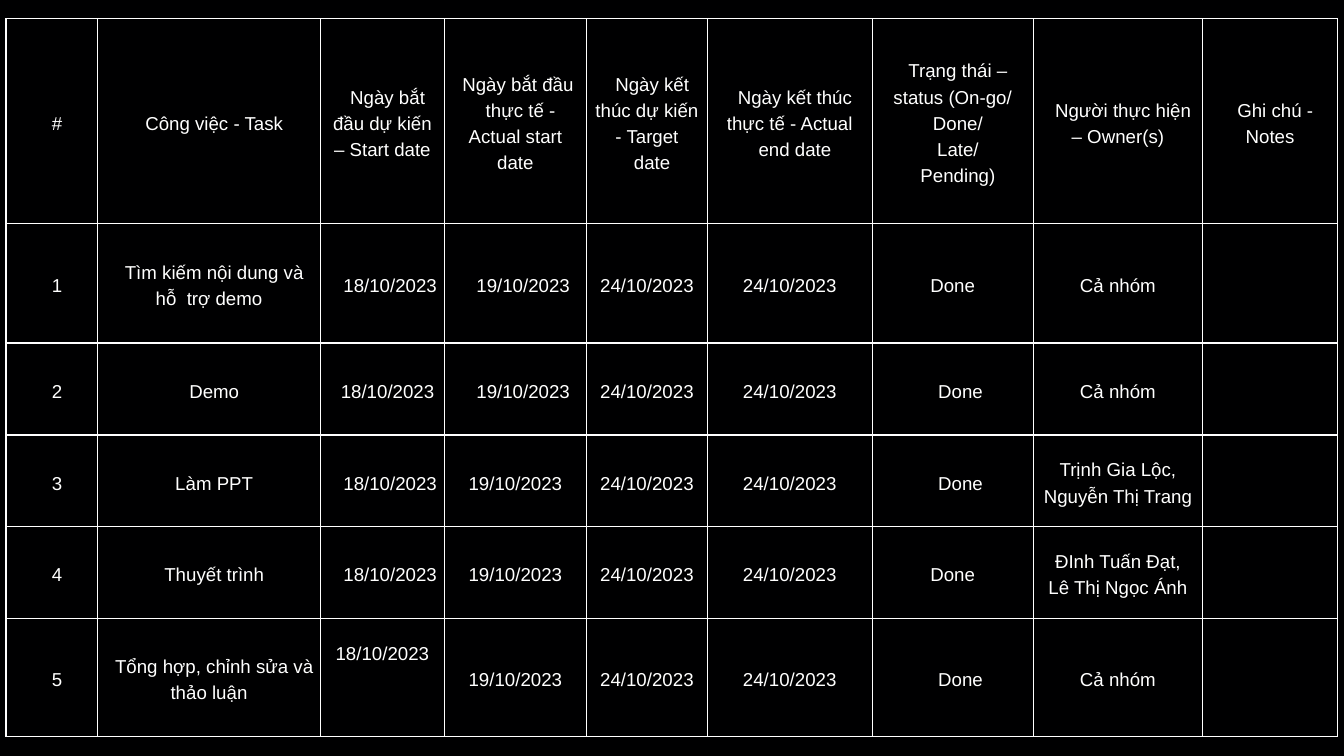
from lxml.etree import SubElement
from pptx import Presentation
from pptx.dml.color import RGBColor
from pptx.enum.text import MSO_ANCHOR, PP_ALIGN
from pptx.oxml.ns import qn
from pptx.util import Pt

COLORS = {"back": "000001", "ink": "FFFFFF"}
FONT = "Arial"
SIZE = 20
LEADING = 28
SPACE = 5.56
INSET = 5.76
WIDTHS = [98, 239, 132.5, 152.5, 129.5, 176.5, 172.75, 181.25, 144.75]
HEIGHTS = [219.5, 128, 98.5, 98.5, 98.5, 126]
HEADS = [
    "#",
    "Công việc - Task",
    "Ngày bắt đầu dự kiến – Start date",
    "Ngày bắt đầu \nthực tế - Actual start date",
    "Ngày kết thúc dự kiến - Target\ndate",
    "Ngày kết thúc thực tế - Actual\nend date",
    "Trạng thái – status (On-go/\nDone/\nLate/\nPending)",
    "Người thực hiện – Owner(s)",
    "Ghi chú - Notes",
]
TASKS = [
    ("Tìm kiếm nội dung và hỗ  trợ demo", "Cả nhóm"),
    ("Demo", "Cả nhóm"),
    ("Làm PPT", "Trịnh Gia Lộc,\nNguyễn Thị Trang"),
    ("Thuyết trình", "ĐInh Tuấn Đạt,\nLê Thị Ngọc Ánh"),
    ("Tổng hợp, chỉnh sửa và thảo luận", "Cả nhóm"),
]
DATES = ["18/10/2023", "19/10/2023", "24/10/2023", "24/10/2023"]
INDENTS = [
    "222222222",
    "223300000",
    "222300300",
    "223000300",
    "223000000",
    "220000300",
]


def color(name):
    return RGBColor.from_string(COLORS[name])


def add_border(cell):
    props = cell._tc.get_or_add_tcPr()
    for side in ("lnL", "lnR", "lnT", "lnB"):
        line = SubElement(props, qn(f"a:{side}"), w=str(Pt(1.5)))
        fill = SubElement(line, qn("a:solidFill"))
        SubElement(fill, qn("a:srgbClr"), val=COLORS["ink"])


def add_text(cell, text, indent):
    frame = cell.text_frame
    for i, line in enumerate(text.split("\n")):
        para = frame.add_paragraph() if i else frame.paragraphs[0]
        para.alignment = PP_ALIGN.CENTER
        para.line_spacing = Pt(LEADING)
        props = para._p.get_or_add_pPr()
        props.set("marL", "0")
        props.set("indent", str(Pt(indent)))
        run = para.add_run()
        run.text = line
        run.font.name = FONT
        run.font.size = Pt(SIZE)
        run.font.color.rgb = color("ink")


def style_cell(cell):
    add_border(cell)
    cell.fill.solid()
    cell.fill.fore_color.rgb = color("back")
    cell.vertical_anchor = MSO_ANCHOR.MIDDLE
    cell.margin_left = cell.margin_right = Pt(INSET)
    cell.margin_top = cell.margin_bottom = Pt(INSET)


def add_grid(slide, rows):
    frame = slide.shapes.add_table(
        len(HEIGHTS), len(WIDTHS), Pt(6.5), Pt(20), Pt(sum(WIDTHS)), Pt(sum(HEIGHTS))
    )
    table = frame.table
    table.first_row = table.horz_banding = False
    for col, width in zip(table.columns, WIDTHS):
        col.width = Pt(width)
    for row, height, texts, indents in zip(table.rows, HEIGHTS, rows, INDENTS):
        row.height = Pt(height)
        for cell, text, count in zip(row.cells, texts, indents):
            style_cell(cell)
            if text:
                add_text(cell, text, int(count) * SPACE)
    return table


def main():
    deck = Presentation()
    deck.slide_width = Pt(1440)
    deck.slide_height = Pt(810)
    slide = deck.slides.add_slide(deck.slide_layouts[6])
    slide.background.fill.solid()
    slide.background.fill.fore_color.rgb = color("back")
    rows = [HEADS]
    for i, (task, owner) in enumerate(TASKS, 1):
        rows.append([str(i), task, *DATES, "Done", owner, ""])
    table = add_grid(slide, rows)
    table.cell(5, 2).margin_bottom = Pt(INSET + 2 * LEADING)
    deck.save("out.pptx")


if __name__ == "__main__":
    main()
